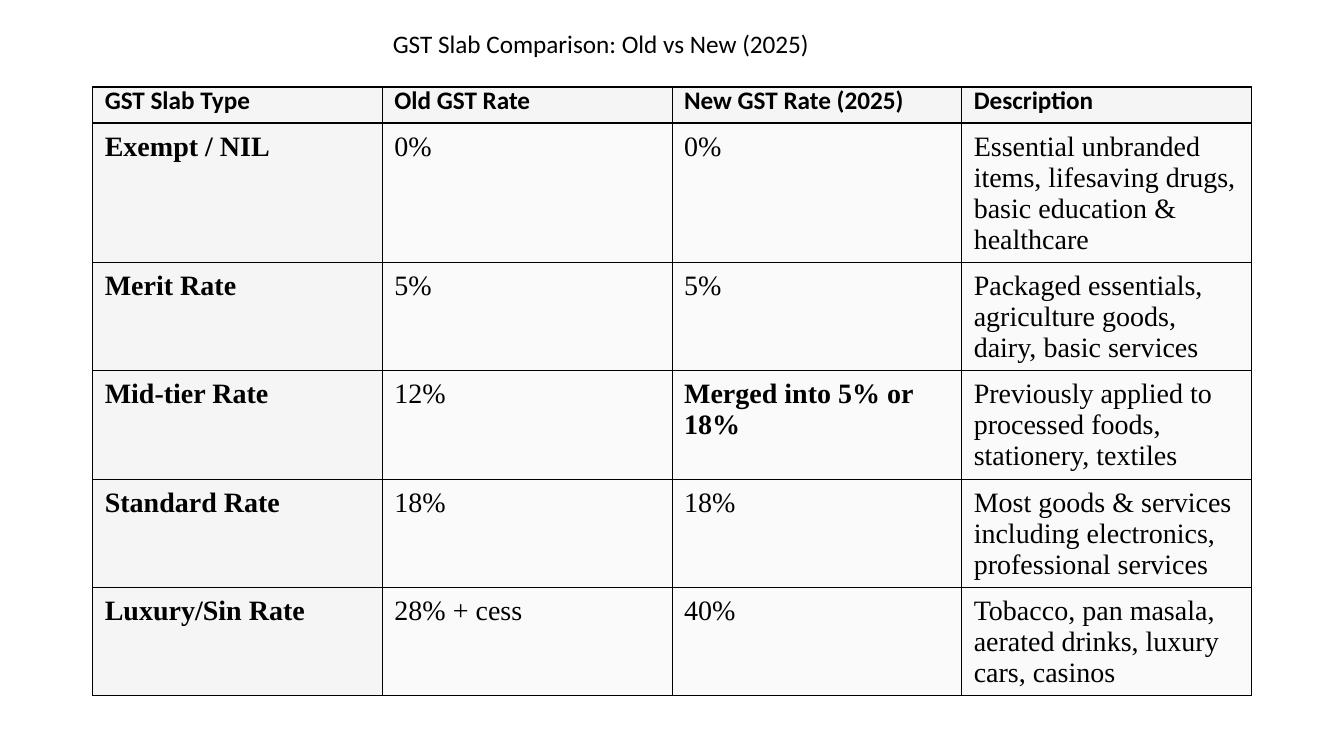
from lxml.etree import SubElement
from pptx import Presentation
from pptx.dml.color import RGBColor
from pptx.oxml.ns import qn
from pptx.util import Cm, Pt

BLACK = RGBColor(0x00, 0x00, 0x00)
LABEL_GREY = RGBColor(0xF5, 0xF5, 0xF5)
VALUE_GREY = RGBColor(0xFA, 0xFA, 0xFA)

HEADINGS = ["GST Slab Type", "Old GST Rate", "New GST Rate (2025)", "Description"]
SLABS = [
    ["Exempt / NIL", "0%", "0%",
     "Essential unbranded items, lifesaving drugs, basic education & healthcare"],
    ["Merit Rate", "5%", "5%",
     "Packaged essentials, agriculture goods, dairy, basic services"],
    ["Mid-tier Rate", "12%", "Merged into 5% or 18%",
     "Previously applied to processed foods, stationery, textiles"],
    ["Standard Rate", "18%", "18%",
     "Most goods & services including electronics, professional services"],
    ["Luxury/Sin Rate", "28% + cess", "40%",
     "Tobacco, pan masala, aerated drinks, luxury cars, casinos"],
]
ROW_HEIGHTS = [0.9, 3.5, 2.7, 2.7, 2.7, 2.7]


def add_run(paragraph, wording, font_name, size, bold=False):
    run = paragraph.add_run()
    run.text = wording
    run.font.name = font_name
    run.font.size = Pt(size)
    run.font.bold = bold
    run.font.color.rgb = BLACK


def add_title(slide, wording):
    title = slide.shapes.add_textbox(Cm(9.65), Cm(0.58), Cm(16.92), Cm(1.02))
    title.text_frame.word_wrap = True
    add_run(title.text_frame.paragraphs[0], wording, "Calibri", 18)


def add_borders(cell):
    properties = cell._tc.get_or_add_tcPr()
    for position, side in enumerate(("a:lnL", "a:lnR", "a:lnT", "a:lnB")):
        border = SubElement(properties, qn(side), w=str(Pt(1)))
        fill = SubElement(border, qn("a:solidFill"))
        SubElement(fill, qn("a:srgbClr"), val=str(BLACK))
        properties.insert(position, border)


def fill_cell(cell, wording, is_heading, is_label):
    cell.margin_left, cell.margin_right = Cm(0.3), Cm(0.2)
    cell.margin_top, cell.margin_bottom = Cm(0.2), Cm(0.18)
    cell.fill.solid()
    cell.fill.fore_color.rgb = LABEL_GREY if is_heading or is_label else VALUE_GREY
    add_borders(cell)
    paragraph = cell.text_frame.paragraphs[0]
    if is_heading:
        paragraph.line_spacing = Pt(15)
        add_run(paragraph, wording, "Calibri", 18, bold=True)
    else:
        bold = is_label or wording.startswith("Merged")
        add_run(paragraph, wording, "Times New Roman", 20, bold)


def add_slab_table(slide):
    rows = [HEADINGS] + SLABS
    slab_table = slide.shapes.add_table(
        len(rows), len(HEADINGS), Cm(2.34), Cm(2.19), Cm(29.2), Cm(sum(ROW_HEIGHTS))
    ).table
    for row, height in zip(slab_table.rows, ROW_HEIGHTS):
        row.height = Cm(height)
    for row_index, entries in enumerate(rows):
        for column_index, wording in enumerate(entries):
            fill_cell(slab_table.cell(row_index, column_index), wording,
                      row_index == 0, column_index == 0)


def main():
    presentation = Presentation()
    presentation.slide_width = Cm(33.87)
    presentation.slide_height = Cm(19.05)
    slide = presentation.slides.add_slide(presentation.slide_layouts[6])
    add_slab_table(slide)
    add_title(slide, "GST Slab Comparison: Old vs New (2025)")
    presentation.save("out.pptx")


if __name__ == "__main__":
    main()
